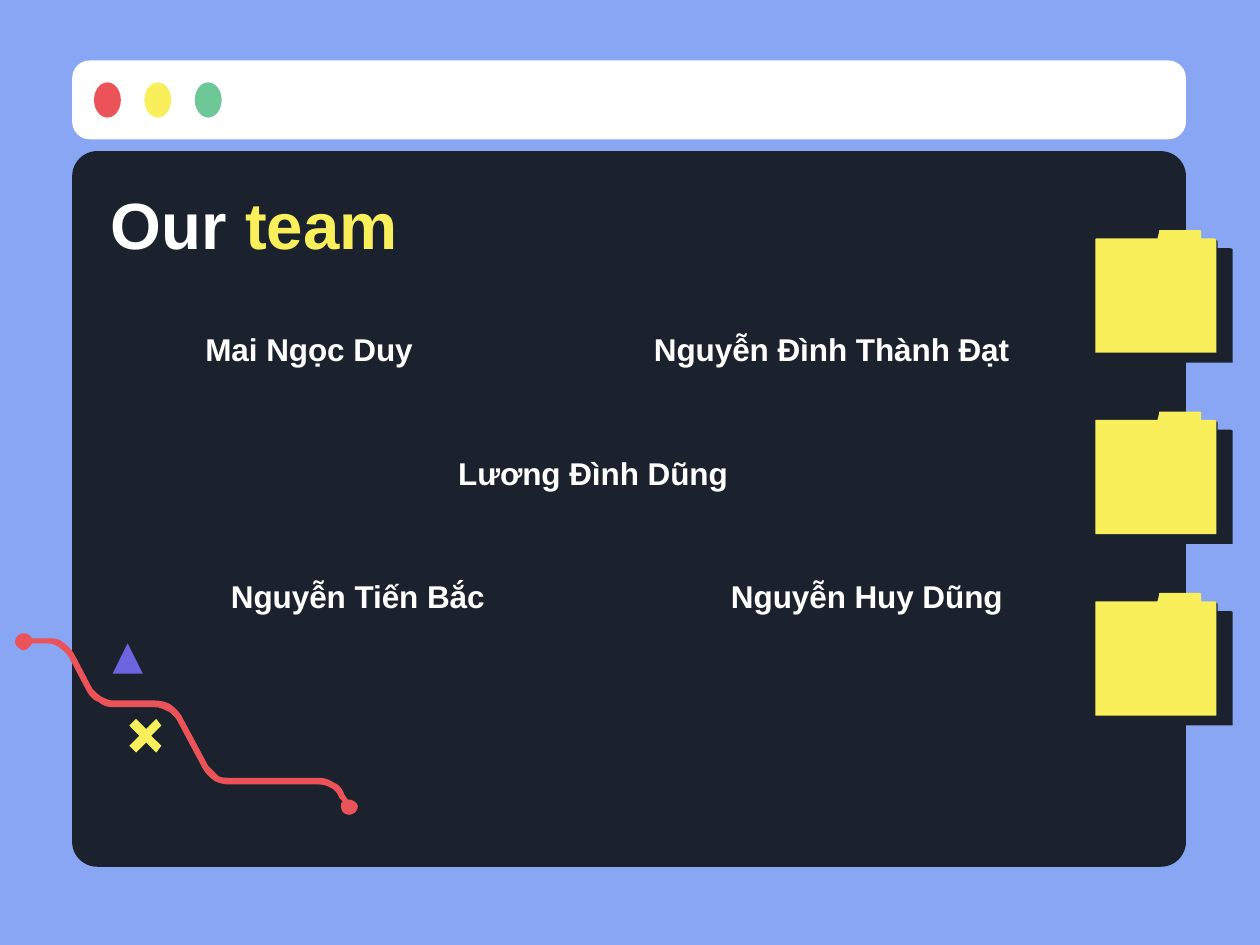
"""Build the team slide: a window, folders, a wire and names."""
from dataclasses import dataclass

from lxml import etree
from pptx import Presentation
from pptx import util as u
from pptx.dml.color import RGBColor
from pptx.enum import shapes, text
from pptx.oxml import ns

SKY = RGBColor(0x88, 0xA6, 0xF3)
NIGHT = RGBColor(0x1B, 0x22, 0x2D)
WHITE = RGBColor(0xFF, 0xFF, 0xFF)
RED = RGBColor(0xEB, 0x53, 0x58)
YELLOW = RGBColor(0xF8, 0xEF, 0x5B)
GREEN = RGBColor(0x6D, 0xC7, 0x97)
VIOLET = RGBColor(0x6D, 0x65, 0xE0)
KIND = shapes.MSO_SHAPE
WIDE = 7.5
STEPS = 8


@dataclass
class Box:
    left: float
    top: float
    width: float
    height: float

    def emu(self) -> list:
        return [u.Inches(n) for n in (self.left, self.top, self.width, self.height)]


@dataclass
class Run:
    words: str
    color: RGBColor = WHITE


@dataclass
class Label:
    box: Box
    runs: list
    size: float = 13.5
    align: text.PP_ALIGN = text.PP_ALIGN.CENTER


LABELS = [
    Label(Box(0.59, 1.1, 6.32, 0.46), [Run("Our "), Run("team", YELLOW)], 28, text.PP_ALIGN.LEFT),
    Label(Box(0.85, 1.86, 1.98, 0.43), [Run("Mai Ngọc Duy")]),
    Label(Box(3.74, 1.86, 2.42, 0.43), [Run("Nguyễn Đình Thành Đạt")]),
    Label(Box(2.32, 2.6, 2.42, 0.43), [Run("Lương Đình Dũng")]),
    Label(Box(1.14, 3.33, 1.98, 0.43), [Run("Nguyễn Tiến Bắc")]),
    Label(Box(3.95, 3.33, 2.42, 0.43), [Run("Nguyễn Huy Dũng")]),
]

FOLDER = [
    (0.72, 0.06), (0.72, 0.73), (0, 0.73), (0, 0.06), (0, 0.05, 0, 0.05, 0.01, 0.05),
    (0.37, 0.05), (0.38, 0.01), (0.38, 0, 0.38, 0, 0.39, 0), (0.62, 0),
    (0.62, 0, 0.63, 0, 0.63, 0.01), (0.63, 0.05), (0.7, 0.05),
    (0.71, 0.05, 0.72, 0.05, 0.72, 0.06),
]
CROSS = [
    (0.93, 4.48), (0.87, 4.42), (0.81, 4.48), (0.77, 4.44), (0.83, 4.38), (0.77, 4.32),
    (0.81, 4.28), (0.87, 4.34), (0.93, 4.28), (0.96, 4.32), (0.9, 4.38), (0.96, 4.44),
]
WIRE = [
    (0.19, 3.83), (0.28, 3.83), (0.31, 3.83, 0.33, 3.84, 0.35, 3.85),
    (0.37, 3.87, 0.39, 3.88, 0.41, 3.91), (0.52, 4.12), (0.54, 4.15, 0.56, 4.17, 0.59, 4.18),
    (0.61, 4.2, 0.64, 4.21, 0.68, 4.21), (0.92, 4.21), (0.95, 4.21, 0.97, 4.22, 0.99, 4.23),
    (1.02, 4.24, 1.03, 4.26, 1.05, 4.28), (1.21, 4.58), (1.23, 4.61, 1.25, 4.63, 1.28, 4.65),
    (1.3, 4.66, 1.33, 4.67, 1.37, 4.67), (1.9, 4.67), (1.93, 4.67, 1.95, 4.68, 1.97, 4.69),
    (1.99, 4.7, 2.01, 4.72, 2.02, 4.75), (2.04, 4.77), (2.03, 4.78, 2.03, 4.79, 2.03, 4.8),
    (2.03, 4.83, 2.05, 4.85, 2.08, 4.85), (2.1, 4.85, 2.13, 4.83, 2.13, 4.8),
    (2.13, 4.78, 2.1, 4.76, 2.08, 4.76), (2.07, 4.76), (2.05, 4.73),
    (2.04, 4.7, 2.02, 4.67, 1.99, 4.66), (1.96, 4.64, 1.93, 4.63, 1.9, 4.63), (1.37, 4.63),
    (1.34, 4.63, 1.32, 4.63, 1.3, 4.62), (1.28, 4.6, 1.26, 4.58, 1.24, 4.56), (1.08, 4.26),
    (1.06, 4.23, 1.04, 4.21, 1.01, 4.19), (0.99, 4.18, 0.96, 4.17, 0.92, 4.17), (0.68, 4.17),
    (0.65, 4.17, 0.63, 4.16, 0.61, 4.15), (0.59, 4.14, 0.57, 4.12, 0.55, 4.1), (0.44, 3.89),
    (0.42, 3.86, 0.4, 3.84, 0.37, 3.82), (0.35, 3.8, 0.32, 3.8, 0.28, 3.8), (0.19, 3.8),
    (0.18, 3.78, 0.16, 3.77, 0.14, 3.77), (0.12, 3.77, 0.09, 3.79, 0.09, 3.82),
    (0.09, 3.84, 0.12, 3.87, 0.14, 3.87), (0.16, 3.87, 0.18, 3.85, 0.19, 3.83),
]


def paint(shape, color: RGBColor):
    shape.shadow.inherit = False
    shape.fill.solid()
    shape.fill.fore_color.rgb = color
    shape.line.fill.background()
    return shape


def preset(slide, kind: KIND, box: Box, color: RGBColor):
    return paint(slide.shapes.add_shape(kind, *box.emu()), color)


def flatten(parts: list) -> list:
    points = []
    for part in parts:
        if len(part) == 2:
            points.append(part)
            continue
        knots = [points[-1], part[:2], part[2:4], part[4:]]
        for step in range(1, STEPS + 1):
            t = step / STEPS
            mix = ((1 - t) ** 3, 3 * t * (1 - t) ** 2, 3 * t * t * (1 - t), t ** 3)
            points.append(tuple(sum(m * k[i] for m, k in zip(mix, knots)) for i in (0, 1)))
    return points


def outline(slide, parts: list, color: RGBColor, left: float = 0, top: float = 0):
    points = [(u.Inches(left + x), u.Inches(top + y)) for x, y in flatten(parts)]
    pen = slide.shapes.build_freeform(*points[0], scale=1.0)
    pen.add_line_segments(points[1:], close=True)
    return paint(pen.convert_to_shape(), color)


def shade(shape) -> None:
    glow = shape._element.spPr.find(ns.qn("a:effectLst"))
    cast = etree.SubElement(glow, ns.qn("a:outerShdw"), dist=str(u.Pt(8.2)),
                            dir=str(31 * 60000), algn="bl", rotWithShape="0")
    etree.SubElement(cast, ns.qn("a:srgbClr"), val=str(NIGHT))


def write(slide, label: Label) -> None:
    frame = slide.shapes.add_textbox(*label.box.emu()).text_frame
    frame.word_wrap = True
    frame.vertical_anchor = text.MSO_ANCHOR.MIDDLE
    frame.margin_left = frame.margin_right = u.Inches(0.07)
    frame.margin_top = frame.margin_bottom = u.Inches(0.07)
    para = frame.paragraphs[0]
    para.alignment = label.align
    for item in label.runs:
        run = para.add_run()
        run.text = item.words
        run.font.name = "Arial"
        run.font.size = u.Pt(label.size)
        run.font.bold = True
        run.font.color.rgb = item.color


def main() -> None:
    deck = Presentation()
    deck.slide_width, deck.slide_height = u.Inches(WIDE), u.Inches(WIDE * 3 / 4)
    slide = deck.slides.add_slide(deck.slide_layouts[6])
    slide.background.fill.solid()
    slide.background.fill.fore_color.rgb = SKY

    panel = preset(slide, KIND.ROUNDED_RECTANGLE, Box(0.43, 0.9, 6.63, 4.26), NIGHT)
    panel.adjustments[0] = 0.035
    bar = preset(slide, KIND.ROUNDED_RECTANGLE, Box(0.43, 0.36, 6.63, 0.47), WHITE)
    bar.adjustments[0] = 0.223
    for i, color in enumerate((RED, YELLOW, GREEN)):
        preset(slide, KIND.OVAL, Box(0.56 + 0.3 * i, 0.49, 0.16, 0.21), color)
    for i in range(3):
        shade(outline(slide, FOLDER, YELLOW, 6.52, 1.37 + 1.08 * i))

    outline(slide, WIRE, RED)
    preset(slide, KIND.ISOSCELES_TRIANGLE, Box(0.67, 3.83, 0.18, 0.18), VIOLET)
    outline(slide, CROSS, YELLOW)
    for label in LABELS:
        write(slide, label)
    deck.save("out.pptx")


if __name__ == "__main__":
    main()
